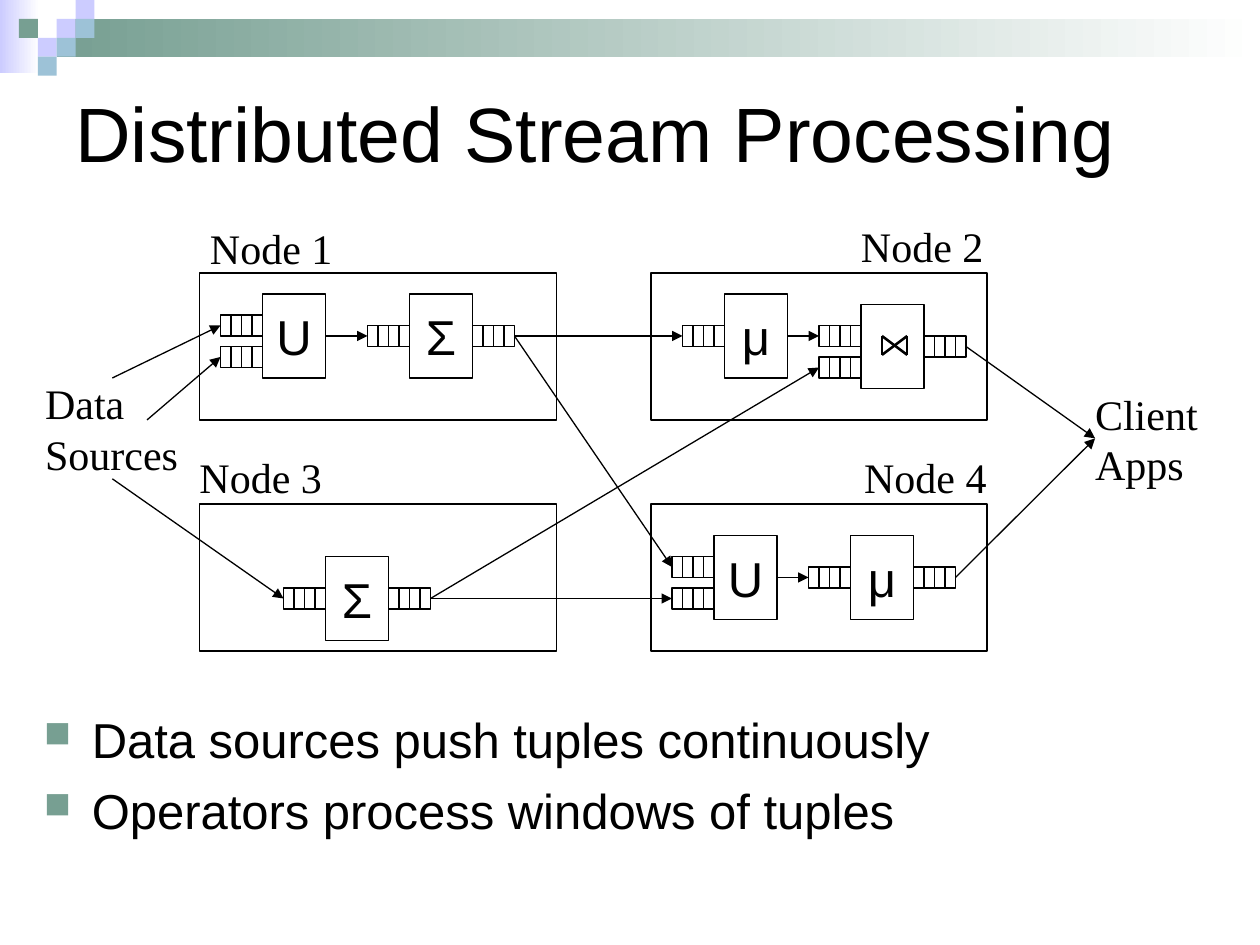
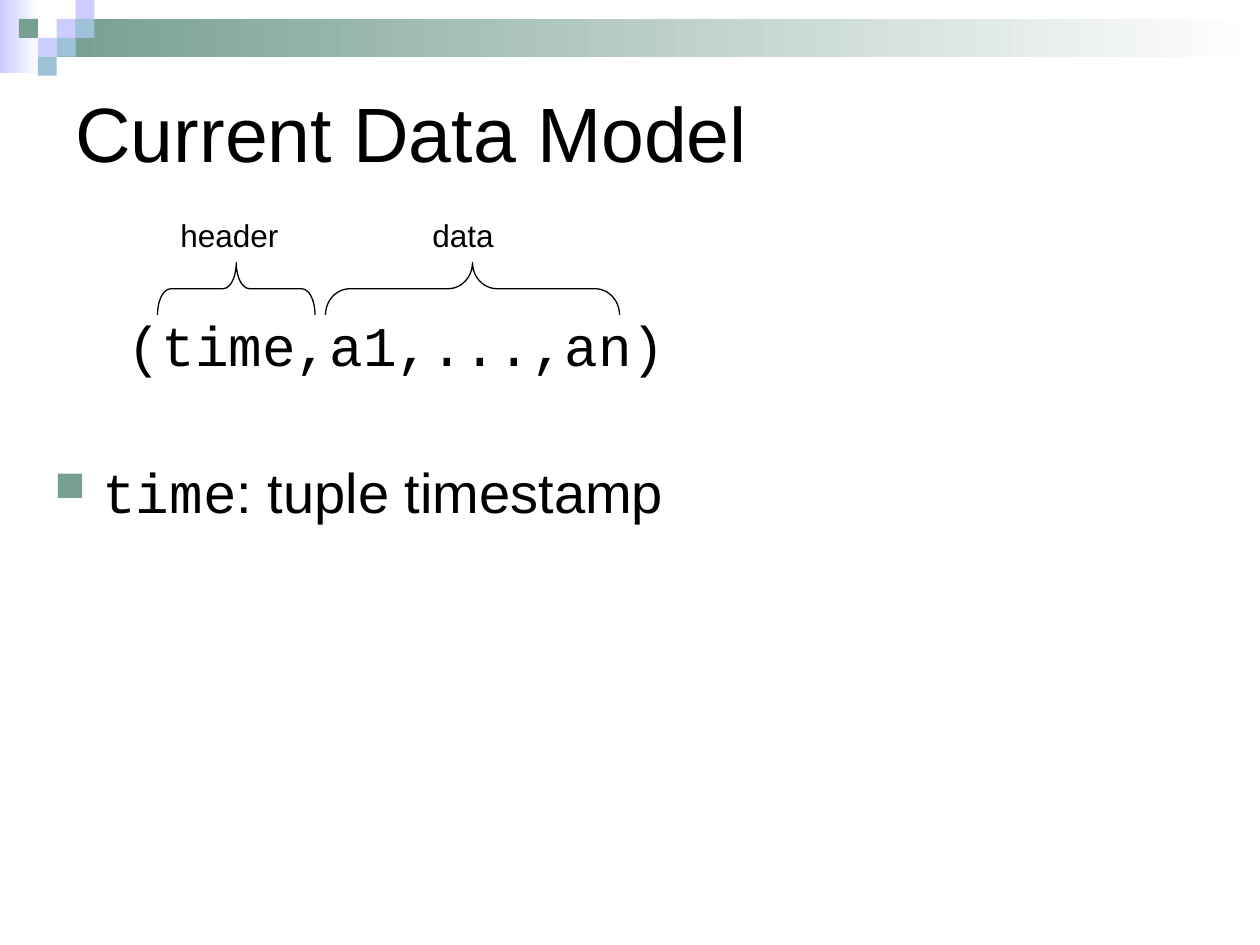
from pptx import Presentation
from pptx.dml.color import RGBColor
from pptx.enum.shapes import MSO_CONNECTOR as Link, MSO_SHAPE as Kind
from pptx.enum.text import MSO_ANCHOR as Anchor, PP_ALIGN as Align
from pptx.oxml.ns import qn
from pptx.util import Inches, Pt
from lxml.etree import SubElement as Sub

BLACK = RGBColor(0x00, 0x00, 0x00)
WHITE = RGBColor(0xFF, 0xFF, 0xFF)
GREEN = RGBColor(0x77, 0x9F, 0x92)
LILAC = RGBColor(0xCC, 0xCC, 0xFF)
BLUE = RGBColor(0x9D, 0xC2, 0xD7)
SANS, SERIF, MONO = "Arial", "Times New Roman", "Courier New"

deck = Presentation()
deck.slide_width = Inches(10)
deck.slide_height = Inches(7.5)
COL = deck.slide_width / 120
ROW = deck.slide_height / 90


def draw(slide, x, y, w, h, fill=None, kind=Kind.RECTANGLE):
    shape = slide.shapes.add_shape(kind, int(x * COL), int(y * ROW), int(w * COL), int(h * ROW))
    shape.shadow.inherit = False
    if fill is None:
        shape.fill.background()
        shape.line.color.rgb = BLACK
        shape.line.width = Pt(0.75)
    else:
        shape.fill.solid()
        shape.fill.fore_color.rgb = fill
        shape.line.fill.background()
    return shape


def write(slide, x, y, w, h, lines, size, font=SANS, pad=0.1, wrap=True, gap=None):
    box = slide.shapes.add_textbox(int(x * COL), int(y * ROW), int(w * COL), int(h * ROW))
    frame = box.text_frame
    frame.word_wrap = wrap
    frame.margin_left = frame.margin_right = Inches(pad)
    frame.margin_top = frame.margin_bottom = Inches(pad / 2)
    frame.text = "\n".join(lines)
    for rank, para in enumerate(frame.paragraphs):
        if gap is not None:
            if rank:
                para.space_before = Pt(gap)
            prop = para._p.get_or_add_pPr()
            prop.set("marL", str(Inches(0.38)))
            prop.set("indent", str(-Inches(0.38)))
            Sub(Sub(prop, qn("a:buClr")), qn("a:srgbClr"), val=str(GREEN))
            Sub(prop, qn("a:buSzPct"), val="75000")
            Sub(prop, qn("a:buChar"), char="■")
        para.font.size = Pt(size)
        para.font.name = font
        para.font.color.rgb = BLACK
    return frame


TILE = 1.8
tiles = [(3, 1, LILAC), (4, 0, LILAC), (4, 1, BLUE), (2, 2, LILAC),
         (1, 1, GREEN), (3, 2, BLUE), (2, 3, BLUE)]
pages = []
for title in ("Distributed Stream Processing", "Current Data Model"):
    page = deck.slides.add_slide(deck.slide_layouts[6])
    for x, y, w, h, tint in ((0, 0, 3.75, 7, LILAC), (5.4, TILE, 114.6, 2 * TILE, GREEN)):
        band = draw(page, x, y, w, h, tint)
        band.fill.gradient()
        band.fill.gradient_angle = 0
        for stop, shade in zip(band.fill.gradient_stops, (tint, WHITE)):
            stop.color.rgb = shade
    for col, row, tint in tiles:
        draw(page, col * TILE, row * TILE, TILE, TILE, tint)
    head = write(page, 6, 6, 108, 13, [title], 44)
    head.vertical_anchor = Anchor.MIDDLE
    pages.append(page)
flow, model = pages

nodes = [("Node 1", 19, 26, 34, 20, 21.2), ("Node 2", 62, 26, 32, 82, 21),
         ("Node 3", 19, 48, 34, 19, 43), ("Node 4", 62, 48, 32, 82.3, 43)]
for name, x, y, w, left, top in nodes:
    draw(flow, x, y, w, 14)
    write(flow, left, top, 13, 4.8, [name], 24, SERIF, 0, False)

for x, y, w, lines in ((4.3, 36, 14, ["Data", "Sources"]),
                       (104.3, 37, 11, ["Client", "Apps"])):
    write(flow, x, y, w, 9.6, lines, 24, SERIF, 0, False)

steps = [("U", 25, 28), ("Σ", 39, 28), ("μ", 69, 28), ("", 82, 29),
         ("Σ", 31, 53), ("U", 68, 51), ("μ", 81, 51)]
for sign, x, y in steps:
    step = draw(flow, x, y, 6, 8)
    if sign:
        step.text_frame.word_wrap = False
        step.text_frame.text = sign
        para = step.text_frame.paragraphs[0]
        para.alignment = Align.CENTER
        para.font.size = Pt(28)
        para.font.name = SANS
        para.font.color.rgb = BLACK

queues = [(21, 30), (21, 33), (35, 31), (45, 31), (65, 31), (78, 31), (78, 34),
          (88, 32), (27, 56), (37, 56), (64, 53), (64, 56), (77, 54), (87, 54)]
for x, y in queues:
    for slot in range(4):
        draw(flow, x + slot, y, 1, 2)

arrows = [(31, 32, 35, 32), (49, 32, 65, 32), (75, 32, 78, 32), (14, 40, 21, 34),
          (92, 33, 104.3, 41.75), (10.7, 36, 21, 31), (10.7, 45.6, 27, 57),
          (41, 57, 78, 35), (49, 32, 64, 54), (74, 55, 77, 55),
          (91, 55, 104.3, 41.75), (41, 57, 64, 57)]
join = [(84, 33.8, 86.4, 32), (84, 33.8, 84, 32), (84, 32, 86.4, 33.8), (86.4, 33.8, 86.4, 32)]
for x1, y1, x2, y2 in arrows + join:
    line = flow.shapes.add_connector(Link.STRAIGHT, int(x1 * COL), int(y1 * ROW),
                                     int(x2 * COL), int(y2 * ROW))
    line.line.color.rgb = BLACK
    prop = line._element.spPr
    if (x1, y1, x2, y2) in join:
        line.line.width = Pt(1.45)
    else:
        line.line.width = Pt(0.75)
        Sub(prop.find(qn("a:ln")), qn("a:tailEnd"), type="triangle")
    Sub(prop, qn("a:effectLst"))

write(flow, 3, 67, 111, 19, ["Data sources push tuples continuously",
                             "Operators process windows of tuples"], 28, gap=7)

body = write(model, 4, 43, 112, 43, ["time"], 32, MONO, gap=8)
note = body.paragraphs[0].add_run()
note.text = ": tuple timestamp"
note.font.name = SANS

DEPTH = 5
for name, x, w, left, wide in (("header", 15, 15, 16, 13), ("data", 31, 28, 40, 9)):
    brace = draw(model, x + (w - DEPTH) / 2, 25 + (DEPTH - w) / 2, DEPTH, w, kind=Kind.LEFT_BRACE)
    brace.rotation = 90
    brace.adjustments[0] = w / DEPTH / 12
    write(model, left, 20, wide, 4.8, [name], 18)
write(model, 11, 29, 101, 7.7, ["(time,a1,...,an)"], 32, MONO)

deck.save("out.pptx")
